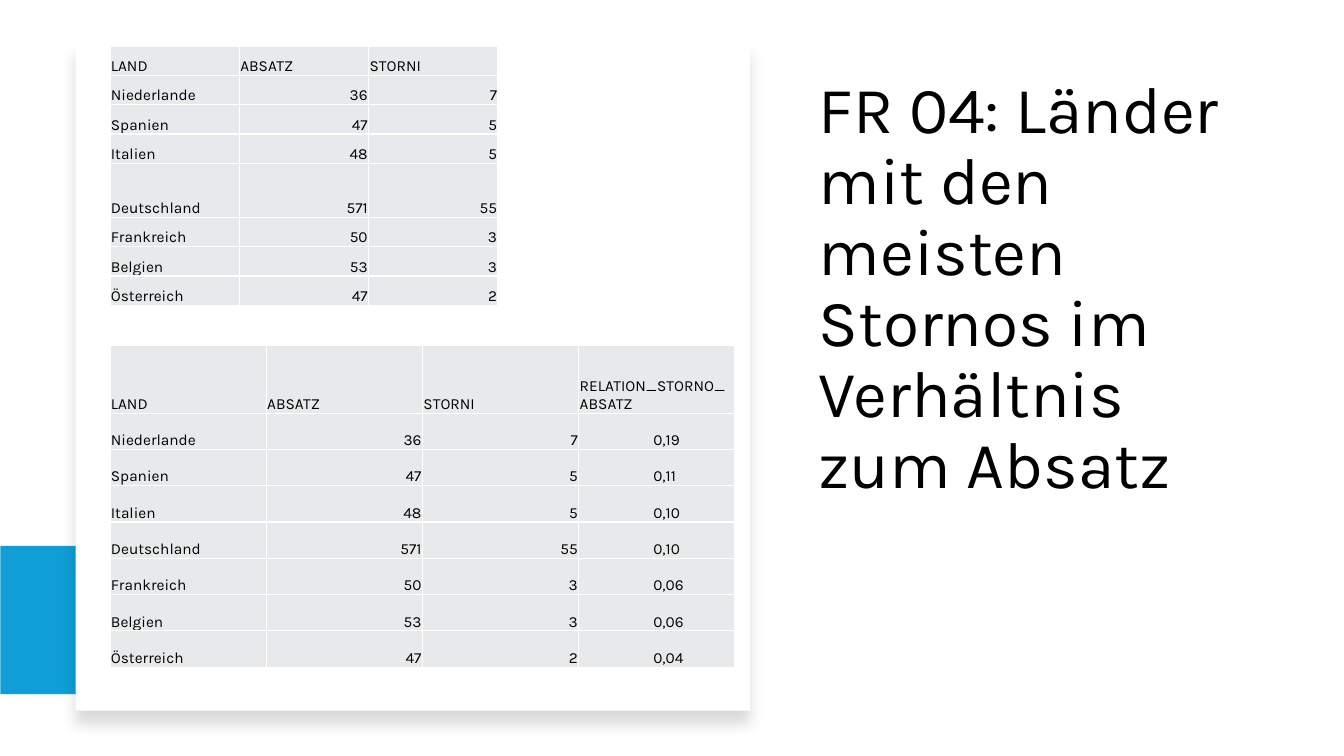
import pptx
import pptx.dml.color
import pptx.enum.shapes
import pptx.enum.text
import pptx.oxml
import pptx.oxml.ns
import pptx.util
from pptx.util import Inches

FONT = "Karla"
COLORS = {"text": "000000", "accent": "0F9ED5", "white": "FFFFFF", "cell": "E7E9EA"}
SALES = [
    ("Niederlande", "36", "7", "0,19"),
    ("Spanien", "47", "5", "0,11"),
    ("Italien", "48", "5", "0,10"),
    ("Deutschland", "571", "55", "0,10"),
    ("Frankreich", "50", "3", "0,06"),
    ("Belgien", "53", "3", "0,06"),
    ("Österreich", "47", "2", "0,04"),
]
HEADS = ("LAND", "ABSATZ", "STORNI", "RELATION_STORNO_ABSATZ")
NS = pptx.oxml.ns.nsdecls("a")


def rgb(name):
    return pptx.dml.color.RGBColor.from_string(COLORS[name])


def style(para, size):
    font = para.font
    font.name = FONT
    font.size = pptx.util.Pt(size)
    font.bold = False
    font.color.rgb = rgb("text")


def add_title(slide, text):
    title = slide.shapes.title
    title.left, title.top = Inches(8.02), Inches(0.74)
    title.width, title.height = Inches(4.56), Inches(4.3)
    frame = title.text_frame
    frame.text = text
    frame.word_wrap = True
    frame.auto_size = pptx.enum.text.MSO_AUTO_SIZE.NONE
    frame.vertical_anchor = pptx.enum.text.MSO_ANCHOR.BOTTOM
    para = frame.paragraphs[0]
    para.alignment = pptx.enum.text.PP_ALIGN.LEFT
    para.line_spacing = 0.9
    style(para, 47)


def add_rect(slide, box, color):
    rect = slide.shapes.add_shape(
        pptx.enum.shapes.MSO_SHAPE.RECTANGLE, *map(Inches, box))
    rect.shadow.inherit = False
    rect.fill.solid()
    rect.fill.fore_color.rgb = rgb(color)
    rect.line.fill.background()
    return rect


def cast_shadow(shape):
    """Give the shape a soft shadow that falls straight down."""
    effects = shape._element.spPr.find(pptx.oxml.ns.qn("a:effectLst"))
    effects.append(pptx.oxml.parse_xml(
        f'<a:outerShdw {NS} blurRad="{pptx.util.Pt(11)}" dist="{pptx.util.Pt(10)}"'
        f' dir="5400000" algn="t" rotWithShape="0"><a:srgbClr val="{COLORS["text"]}">'
        '<a:alpha val="15000"/></a:srgbClr></a:outerShdw>'))


def add_borders(cell):
    props = cell._tc.get_or_add_tcPr()
    for side in "LRTB":
        props.append(pptx.oxml.parse_xml(
            f'<a:ln{side} {NS} w="{pptx.util.Pt(1)}"><a:solidFill>'
            f'<a:srgbClr val="{COLORS["white"]}"/></a:solidFill></a:ln{side}>'))


def fill_cell(cell, text, head, col):
    add_borders(cell)
    cell.fill.solid()
    cell.fill.fore_color.rgb = rgb("cell")
    cell.margin_left = cell.margin_right = cell.margin_top = Inches(0.01)
    cell.margin_bottom = 0
    cell.vertical_anchor = pptx.enum.text.MSO_ANCHOR.BOTTOM
    cell.text = text
    para = cell.text_frame.paragraphs[0]
    style(para, 11)
    if not head and col in (1, 2):
        para.alignment = pptx.enum.text.PP_ALIGN.RIGHT
    elif not head and col == 3:
        para._p.get_or_add_pPr().set("marL", str(Inches(0.73)))


def add_table(slide, top, width, cols, heights):
    rows = [row[:cols] for row in [HEADS] + SALES]
    frame = slide.shapes.add_table(
        len(rows), cols, Inches(1.09), Inches(top), Inches(width), Inches(sum(heights)))
    table = frame.table
    table.first_row = table.horz_banding = False
    for column in table.columns:
        column.width = Inches(width / cols)
    for r, (row, height) in enumerate(zip(rows, heights)):
        table.rows[r].height = Inches(height)
        for c, text in enumerate(row):
            fill_cell(table.cell(r, c), text, r == 0, c)


def main():
    deck = pptx.Presentation()
    deck.slide_width, deck.slide_height = Inches(13.33), Inches(7.5)
    slide = deck.slides.add_slide(deck.slide_layouts[5])
    add_title(slide, "FR 04: Länder mit den meisten Stornos im Verhältnis zum Absatz")
    band = add_rect(slide, (2.37, 3.05, 1.47, 6.2), "accent")
    band.rotation = 270
    card = add_rect(slide, (0.75, 0.41, 6.69, 6.64), "white")
    cast_shadow(card)
    add_table(slide, 0.46, 3.85, 3, [0.29] * 4 + [0.54] + [0.29] * 3)
    add_table(slide, 3.43, 6.2, 4, [0.67] + [0.36] * 7)
    deck.save("out.pptx")


if __name__ == "__main__":
    main()
